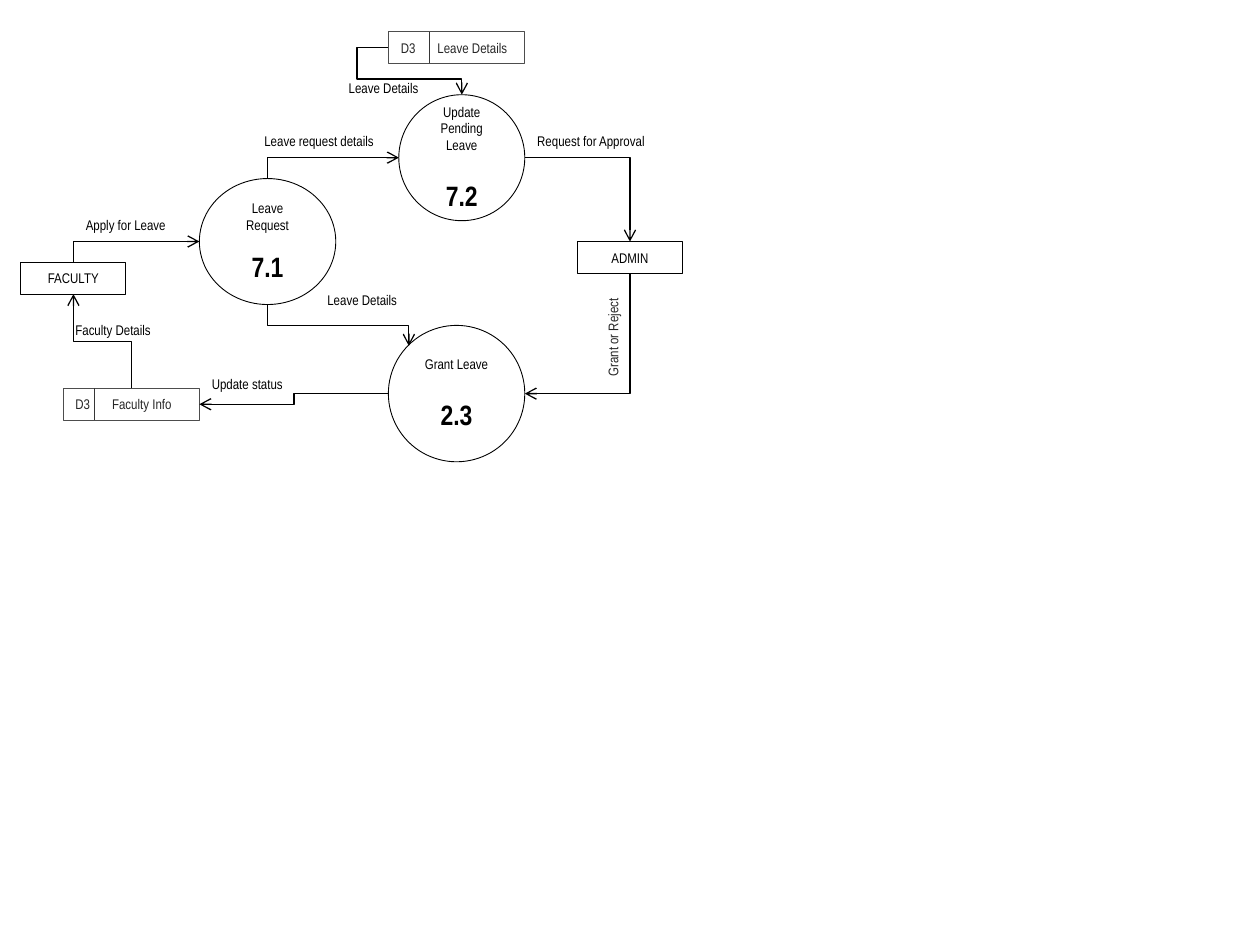
import pptx
import pptx.util
import pptx.dml.color
import pptx.enum.shapes
import pptx.enum.text
import pptx.oxml
import pptx.oxml.ns
from pptx.util import Cm

COLORS = {"paper": "FFFFFF", "ink": "000000", "store_line": "4D4D4D",
          "store_text": "262626", "divider": "363636"}
TOP, BOTTOM, LEFT, RIGHT = (0.5, 0), (0.5, 1), (0, 0.5), (1, 0.5)
UPPER_LEFT = (0.15, 0.15)
SHAPES = pptx.enum.shapes.MSO_SHAPE
CONNECTORS = pptx.enum.shapes.MSO_CONNECTOR
ALIGN = pptx.enum.text.PP_ALIGN
qn = pptx.oxml.ns.qn


def rgb(name):
    return pptx.dml.color.RGBColor.from_string(COLORS[name])


def add_xml(parent, xml):
    namespace = pptx.oxml.ns.nsdecls("a")
    parent.append(pptx.oxml.parse_xml(xml.replace("/>", f" {namespace}/>", 1)))


def write(paragraph, text, size=8, bold=False, color="ink", align=None, before=0, tab=None):
    paragraph.alignment = align
    paragraph.space_before = pptx.util.Pt(before)
    if tab:
        stops = pptx.oxml.parse_xml(
            f'<a:tabLst {pptx.oxml.ns.nsdecls("a")}><a:tab pos="{Cm(tab)}" algn="l"/></a:tabLst>')
        paragraph._p.get_or_add_pPr().append(stops)
    run = paragraph.add_run()
    run.text = text
    run.font.name = "Arial Narrow"
    run.font.size = pptx.util.Pt(size)
    run.font.bold = bold
    run.font.color.rgb = rgb(color)


def site(shape, fractions):
    return (int(shape.left + shape.width * fractions[0]),
            int(shape.top + shape.height * fractions[1]))


class FlowDiagram:
    def __init__(self, slide):
        self.slide = slide

    def box(self, kind, place, line="ink", shapes=None):
        shape = (shapes or self.slide.shapes).add_shape(kind, *map(Cm, place))
        shape.shadow.inherit = False
        shape.fill.solid()
        shape.fill.fore_color.rgb = rgb("paper")
        shape.line.color.rgb = rgb(line)
        shape.line.width = pptx.util.Pt(0.5)
        shape.text_frame.word_wrap = True
        shape.text_frame.vertical_anchor = pptx.enum.text.MSO_ANCHOR.MIDDLE
        return shape

    def process(self, title, number, place, gap):
        circle = self.box(SHAPES.OVAL, place)
        write(circle.text_frame.paragraphs[0], title, align=ALIGN.CENTER)
        write(circle.text_frame.add_paragraph(), number, size=16, bold=True,
              align=ALIGN.CENTER, before=gap)
        return circle

    def entity(self, title, left, top):
        entity = self.box(SHAPES.RECTANGLE, (left, top, 2.12, 0.64))
        write(entity.text_frame.paragraphs[0], title, align=ALIGN.CENTER)
        return entity

    def store(self, code, title, left, top, divider):
        group = self.slide.shapes.add_group_shape()
        store = self.box(SHAPES.RECTANGLE, (left, top, 2.75, 0.64), "store_line", group.shapes)
        write(store.text_frame.paragraphs[0], f"{code}\t{title}", color="store_text",
              align=ALIGN.LEFT, tab=0.74)
        x = Cm(left + divider)
        self.line(CONNECTORS.STRAIGHT, (x, store.top), (x, store.top + store.height),
                  "divider", group.shapes)
        return store

    def line(self, kind, begin, end, color="ink", shapes=None):
        line = (shapes or self.slide.shapes).add_connector(kind, *begin, *end)
        line.line.color.rgb = rgb(color)
        line.line.width = pptx.util.Pt(0.75)
        add_xml(line._element.spPr, "<a:effectLst/>")
        return line

    def flow(self, begin, end, bends=1, vertical=True, adjust=(), arrow="tailEnd"):
        (x1, y1), (x2, y2) = begin, end
        right, up = x2 > x1, y2 < y1
        width, height = abs(x2 - x1), abs(y2 - y1)
        middle_x, middle_y = (x1 + x2) // 2, (y1 + y2) // 2
        if vertical:
            width, height = height, width
        left, top = middle_x - width // 2, middle_y - height // 2
        flow = self.line(CONNECTORS.ELBOW, (left, top), (left + width, top + height))
        frame = flow._element.spPr.find(qn("a:xfrm"))
        if vertical:
            frame.set("rot", str((270 if up and not right else 90) * 60000))
        frame.set("flipH", str(int(vertical and up and right)))
        frame.set("flipV", str(int(up)))
        geometry = flow._element.spPr.find(qn("a:prstGeom"))
        geometry.set("prst", f"bentConnector{bends + 1}")
        for index, value in enumerate(adjust, 1):
            add_xml(geometry.find(qn("a:avLst")),
                    f'<a:gd name="adj{index}" fmla="val {round(value * 100000)}"/>')
        add_xml(flow.line._get_or_add_ln(), f'<a:{arrow} type="arrow"/>')

    def label(self, text, left, top, width, color="ink", rotation=0):
        label = self.slide.shapes.add_textbox(Cm(left), Cm(top), Cm(width), Cm(0.6))
        label.rotation = rotation
        label.text_frame.word_wrap = not rotation
        label.text_frame.auto_size = pptx.enum.text.MSO_AUTO_SIZE.SHAPE_TO_FIT_TEXT
        write(label.text_frame.paragraphs[0], text, color=color)


presentation = pptx.Presentation()
presentation.slide_width, presentation.slide_height = Cm(25.4), Cm(19.05)
diagram = FlowDiagram(presentation.slides.add_slide(presentation.slide_layouts[6]))

request = diagram.process("Leave Request", "7.1", (4.02, 3.6, 2.75, 2.54), gap=9.5)
grant = diagram.process("Grant Leave", "2.3", (7.83, 6.56, 2.75, 2.75), gap=14.5)
pending = diagram.process("Update Pending Leave", "7.2", (8.04, 1.91, 2.54, 2.54), gap=14.5)
faculty = diagram.entity("FACULTY", 0.42, 5.29)
admin = diagram.entity("ADMIN", 11.64, 4.87)
leave_details = diagram.store("D3", "Leave Details", 7.83, 0.64, divider=0.83)
faculty_info = diagram.store("D3", "Faculty Info", 1.27, 7.83, divider=0.64)

diagram.flow(site(faculty_info, RIGHT), site(grant, LEFT), bends=2, vertical=False,
             adjust=[0.5], arrow="headEnd")
diagram.flow(site(request, TOP), site(pending, LEFT))
diagram.flow(site(pending, RIGHT), site(admin, TOP), vertical=False)
diagram.flow(site(faculty_info, TOP), site(faculty, BOTTOM), bends=2, adjust=[0.5])
diagram.flow(site(admin, BOTTOM), site(grant, RIGHT))
diagram.flow(site(grant, UPPER_LEFT), site(request, BOTTOM), bends=2,
             adjust=[0.5], arrow="headEnd")
diagram.flow(site(faculty, TOP), site(request, LEFT))
diagram.flow(site(pending, TOP), site(leave_details, LEFT), bends=3,
             adjust=[0.33, 1.43], arrow="headEnd")

for text, left, top, width in [
    ("Apply for Leave", 1.48, 4.24, 2.12),
    ("Faculty Details", 1.27, 6.35, 2.12),
    ("Leave Details", 6.78, 1.48, 2.12),
    ("Update status", 4.02, 7.44, 2.12),
    ("Leave Details", 6.35, 5.75, 2.75),
    ("Leave request details", 5.08, 2.55, 3.39),
    ("Request for Approval", 10.58, 2.55, 4.02),
]:
    diagram.label(text, left, top, width)
diagram.label("Grant or Reject", 11.3, 6.48, 2.12, color="store_text", rotation=270)

presentation.save("out.pptx")
